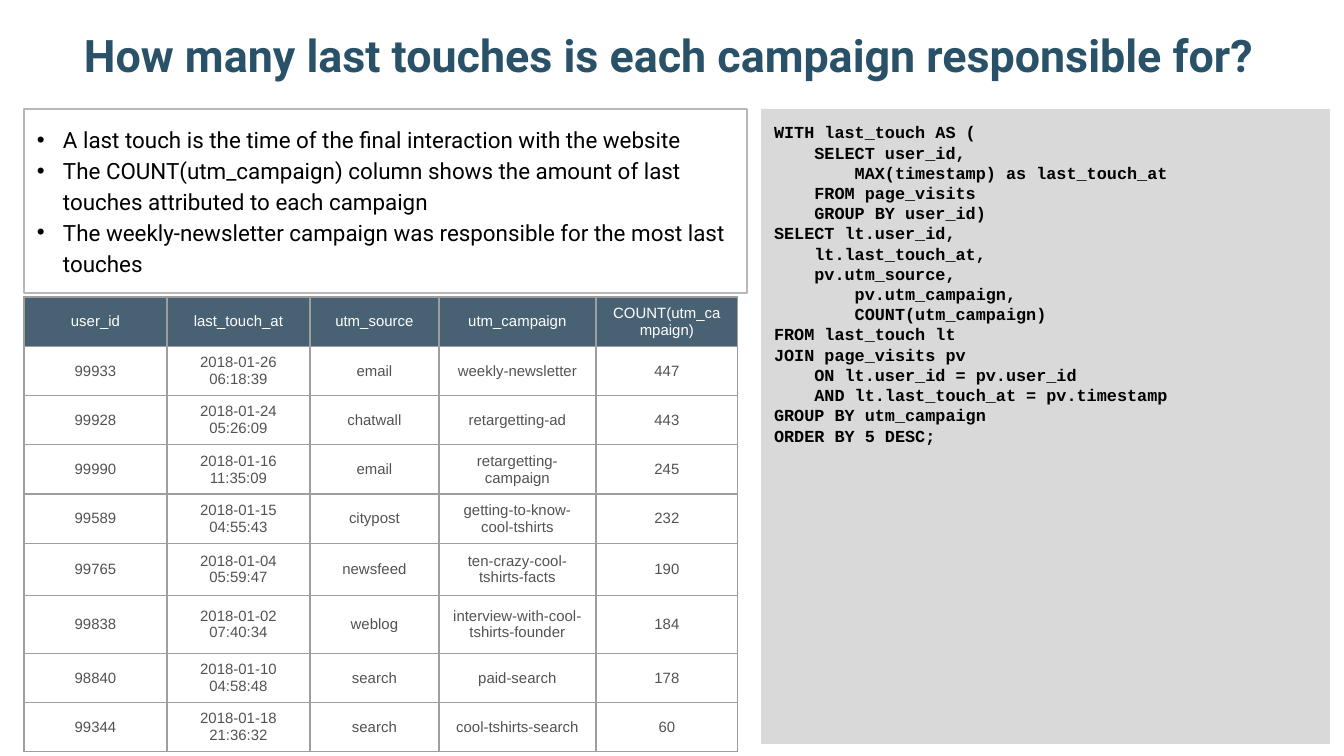
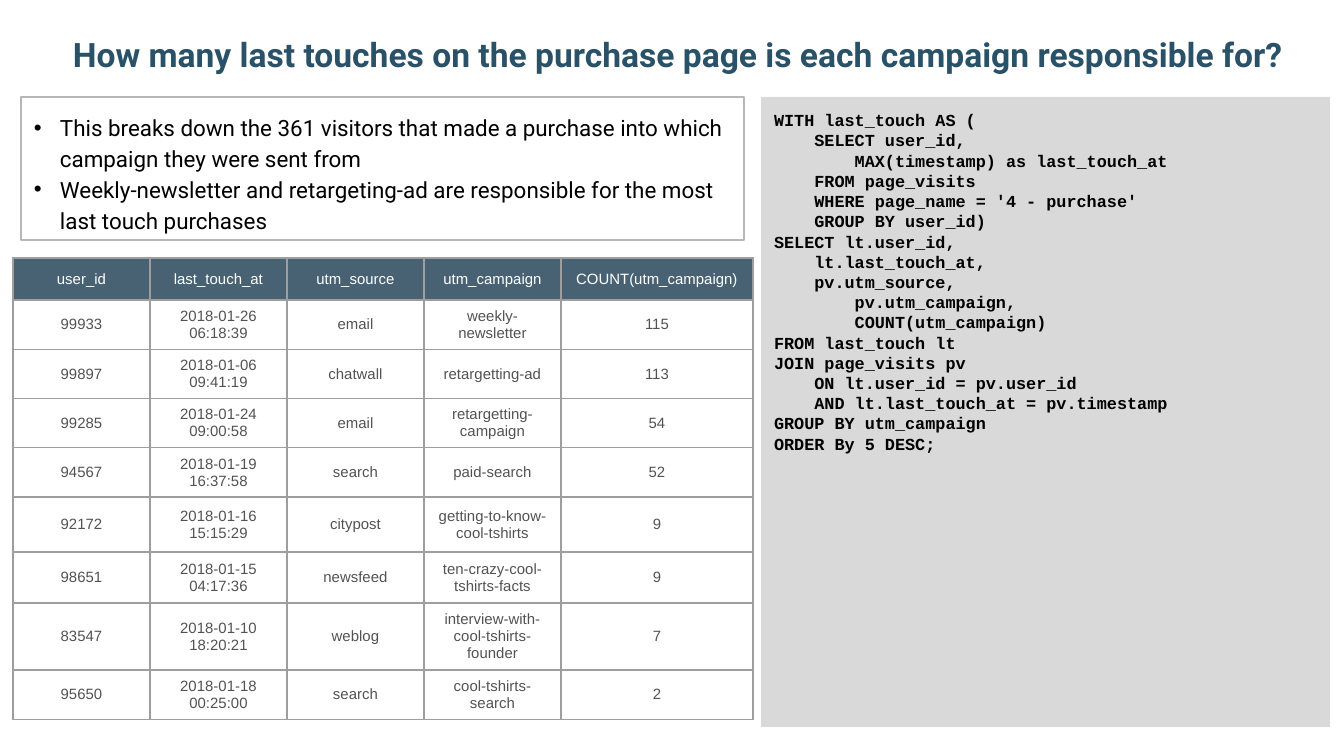
from lxml import etree
from pptx import Presentation
from pptx import util as u
from pptx.dml import color as dml
from pptx.enum import shapes, text
from pptx.oxml import ns

SCALE = 914400 / 134.4
COLORS = {
    "title": "295269", "ink": "000000", "code": "D9D9D9", "frame": "B7B7B7",
    "header": "204056", "header_text": "FFFFFF", "cell_text": "525252", "grid": "9E9E9E",
}
HEADER = ["user_id", "last_touch_at", "utm_source", "utm_campaign", "COUNT(utm_campaign)"]
INSET = 13
INDENT = 26
HEADER_ALPHA = "82000"


def px(value):
    return u.Emu(round(value * SCALE))


def rgb(name):
    return dml.RGBColor.from_string(COLORS[name])


def element(parent, tag, **attributes):
    return etree.SubElement(parent, ns.qn(tag), attributes)


def add_run(paragraph, words, size, font, color, bold=False):
    run = paragraph.add_run()
    run.text = words
    run.font.size = u.Pt(size)
    run.font.name = font
    run.font.bold = bold
    run.font.color.rgb = rgb(color)


def prepare_frame(shape, anchor):
    frame = shape.text_frame
    frame.word_wrap = True
    frame.vertical_anchor = anchor
    frame.margin_left = frame.margin_right = px(INSET)
    frame.margin_top = frame.margin_bottom = px(INSET)
    return frame


def add_paragraphs(frame, lines):
    for index, line in enumerate(lines):
        yield (frame.add_paragraph() if index else frame.paragraphs[0]), line


def add_title(slide, box, words, size):
    shape = slide.shapes.add_textbox(*map(px, box))
    frame = prepare_frame(shape, text.MSO_ANCHOR.BOTTOM)
    paragraph = frame.paragraphs[0]
    paragraph.alignment = text.PP_ALIGN.CENTER
    add_run(paragraph, words, size, "Roboto", "title", True)


def add_panel(slide, box):
    shape = slide.shapes.add_shape(shapes.MSO_SHAPE.RECTANGLE, *map(px, box))
    shape.shadow.inherit = False
    return shape, prepare_frame(shape, text.MSO_ANCHOR.TOP)


def add_code(slide, box, code):
    shape, frame = add_panel(slide, box)
    shape.fill.solid()
    shape.fill.fore_color.rgb = rgb("code")
    shape.line.fill.background()
    for paragraph, line in add_paragraphs(frame, code.strip().split("\n")):
        paragraph.alignment = text.PP_ALIGN.LEFT
        add_run(paragraph, line, 9, "Courier New", "ink", True)


def add_bullets(slide, box, points):
    shape, frame = add_panel(slide, box)
    shape.fill.background()
    shape.line.color.rgb = rgb("frame")
    shape.line.width = u.Pt(0.75)
    for paragraph, point in add_paragraphs(frame, points):
        paragraph.alignment = text.PP_ALIGN.LEFT
        paragraph.line_spacing = 1.15
        properties = paragraph._p.get_or_add_pPr()
        properties.set("marL", str(px(INDENT)))
        properties.set("indent", str(-px(INDENT)))
        element(element(properties, "a:buClr"), "a:srgbClr", val=COLORS["ink"])
        element(properties, "a:buFont", typeface="Arial")
        element(properties, "a:buChar", char="•")
        add_run(paragraph, point, 12, "Roboto", "ink")


def style_cell(cell, words, is_header):
    cell.vertical_anchor = text.MSO_ANCHOR.MIDDLE
    properties = cell._tc.get_or_add_tcPr()
    for side in ("a:lnL", "a:lnR", "a:lnT", "a:lnB"):
        line = element(properties, side, w=str(u.Pt(0.75)))
        element(element(line, "a:solidFill"), "a:srgbClr", val=COLORS["grid"])
    if is_header:
        cell.fill.solid()
        cell.fill.fore_color.rgb = rgb("header")
        element(properties.find(ns.qn("a:solidFill"))[0], "a:alpha", val=HEADER_ALPHA)
    else:
        cell.fill.background()
    paragraph = cell.text_frame.paragraphs[0]
    paragraph.alignment = text.PP_ALIGN.CENTER
    add_run(paragraph, words, 8, "Arial", "header_text" if is_header else "cell_text")


def add_touch_table(slide, corner, widths, heights, records):
    rows = [HEADER] + records
    box = (*corner, sum(widths), sum(heights))
    table = slide.shapes.add_table(len(rows), len(HEADER), *map(px, box)).table
    table.first_row = table.horz_banding = False
    for column, width in zip(table.columns, widths):
        column.width = px(width)
    for index, (row, height, values) in enumerate(zip(table.rows, heights, rows)):
        row.height = px(height)
        for cell, value in zip(row.cells, values):
            style_cell(cell, value, index == 0)


def add_query_slide(presentation, content):
    slide = presentation.slides.add_slide(presentation.slide_layouts[6])
    add_title(slide, *content["title"])
    add_code(slide, *content["code"])
    add_bullets(slide, *content["bullets"])
    add_touch_table(slide, *content["table"])


ALL_TOUCHES_QUERY = """
WITH last_touch AS (
    SELECT user_id,
        MAX(timestamp) as last_touch_at
    FROM page_visits
    GROUP BY user_id)
SELECT lt.user_id,
    lt.last_touch_at,
    pv.utm_source,
        pv.utm_campaign,
        COUNT(utm_campaign)
FROM last_touch lt
JOIN page_visits pv
    ON lt.user_id = pv.user_id
    AND lt.last_touch_at = pv.timestamp
GROUP BY utm_campaign
ORDER BY 5 DESC;
"""
PURCHASE_QUERY = ALL_TOUCHES_QUERY.replace(
    "    GROUP BY user_id)", "    WHERE page_name = '4 - purchase'\n    GROUP BY user_id)"
).replace("ORDER BY", "ORDER By")

ALL_TOUCHES = {
    "title": ((24, 4, 1289, 90), "How many last touches is each campaign responsible for?", 24),
    "code": ((761, 109, 569, 635), ALL_TOUCHES_QUERY),
    "bullets": ((24, 109, 723, 184), [
        "A last touch is the time of the final interaction with the website",
        "The COUNT(utm_campaign) column shows the amount of last touches attributed to each campaign",
        "The weekly-newsletter campaign was responsible for the most last touches",
    ]),
    "table": ((24, 297), [143, 143, 129, 157, 142], [47] * 5 + [52, 58] + [47] * 2, [
        ["99933", "2018-01-26 06:18:39", "email", "weekly-newsletter", "447"],
        ["99928", "2018-01-24 05:26:09", "chatwall", "retargetting-ad", "443"],
        ["99990", "2018-01-16 11:35:09", "email", "retargetting-campaign", "245"],
        ["99589", "2018-01-15 04:55:43", "citypost", "getting-to-know-cool-tshirts", "232"],
        ["99765", "2018-01-04 05:59:47", "newsfeed", "ten-crazy-cool-tshirts-facts", "190"],
        ["99838", "2018-01-02 07:40:34", "weblog", "interview-with-cool-tshirts-founder", "184"],
        ["98840", "2018-01-10 04:58:48", "search", "paid-search", "178"],
        ["99344", "2018-01-18 21:36:32", "search", "cool-tshirts-search", "60"],
    ]),
}
PURCHASE_TOUCHES = {
    "title": (
        (32, -4, 1292, 91),
        "How many last touches on the purchase page is each campaign responsible for?", 18,
    ),
    "code": ((761, 97, 569, 630), PURCHASE_QUERY),
    "bullets": ((21, 97, 723, 143), [
        "This breaks down the 361 visitors that made a purchase into which campaign they were sent from",
        "Weekly-newsletter and retargeting-ad are responsible for the most last touch purchases",
    ]),
    "table": ((13, 258), [137] * 4 + [192], [42] + [47] * 4 + [55, 51, 64, 47], [
        ["99933", "2018-01-26 06:18:39", "email", "weekly-newsletter", "115"],
        ["99897", "2018-01-06 09:41:19", "chatwall", "retargetting-ad", "113"],
        ["99285", "2018-01-24 09:00:58", "email", "retargetting-campaign", "54"],
        ["94567", "2018-01-19 16:37:58", "search", "paid-search", "52"],
        ["92172", "2018-01-16 15:15:29", "citypost", "getting-to-know-cool-tshirts", "9"],
        ["98651", "2018-01-15 04:17:36", "newsfeed", "ten-crazy-cool-tshirts-facts", "9"],
        ["83547", "2018-01-10 18:20:21", "weblog", "interview-with-cool-tshirts-founder", "7"],
        ["95650", "2018-01-18 00:25:00", "search", "cool-tshirts-search", "2"],
    ]),
}


def main():
    presentation = Presentation()
    presentation.slide_width = px(1344)
    presentation.slide_height = px(756)
    for content in (ALL_TOUCHES, PURCHASE_TOUCHES):
        add_query_slide(presentation, content)
    presentation.save("out.pptx")


if __name__ == "__main__":
    main()
